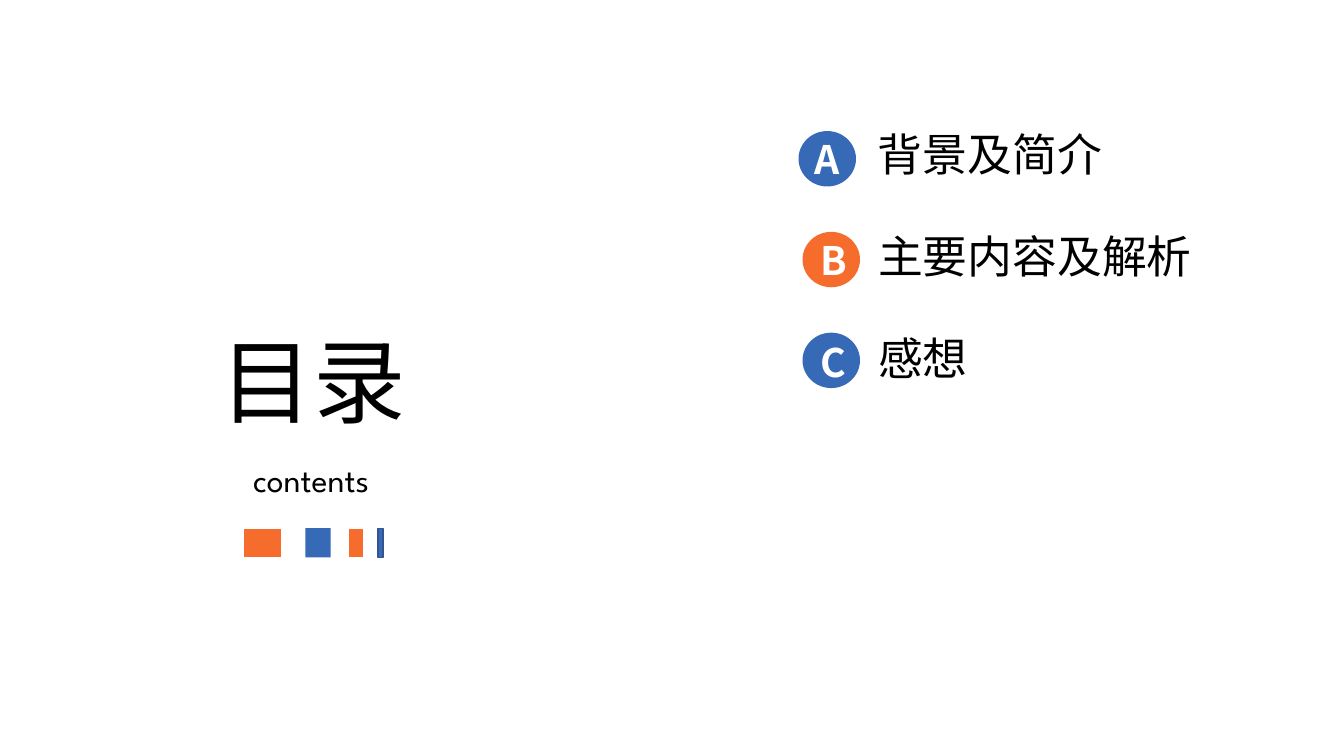
import dataclasses
import typing

import lxml.etree
import pptx
import pptx.dml.color
import pptx.enum.shapes
import pptx.enum.text
import pptx.oxml.ns
import pptx.slide
import pptx.util

Inches = pptx.util.Inches
Kind = pptx.enum.shapes.MSO_SHAPE
Align = pptx.enum.text.PP_ALIGN

BLUE = "366AB7"
ORANGE = "F66C2D"
WHITE = "FFFFFF"
BLACK = "000000"
NAVY = "325491"
SANS = "Noto Sans CJK SC"


@dataclasses.dataclass
class Box:
    left: float
    top: float
    width: float
    height: float


@dataclasses.dataclass
class Bar:
    left: float
    width: float
    fill: str
    edge: typing.Optional[str]


@dataclasses.dataclass
class Entry:
    letter: str
    title: str
    fill: str
    disc: float
    mark: float
    room: float
    width: float


@dataclasses.dataclass
class Style:
    size: int
    face: str
    color: str = BLACK
    bold: bool = False
    align: Align = Align.LEFT


HEADING = Style(66, "Noto Sans CJK JP", align=Align.CENTER)
CAPTION = Style(24, "League Spartan", align=Align.CENTER)
LETTER = Style(28, SANS, WHITE, True)
TITLE = Style(32, SANS)

BARS = [
    Bar(2.41, 0.38, ORANGE, WHITE),
    Bar(3.03, 0.25, BLUE, None),
    Bar(3.45, 0.16, ORANGE, WHITE),
    Bar(3.75, 0.05, BLUE, NAVY),
]
ENTRIES = [
    Entry("A", "背景及简介", BLUE, 7.92, 7.98, 0.34, 2.47),
    Entry("B", "主要内容及解析", ORANGE, 7.96, 8.04, 0.57, 3.45),
    Entry("C", "感想", BLUE, 7.96, 8.04, 0.4, 3.45),
]


def color(code: str) -> pptx.dml.color.RGBColor:
    return pptx.dml.color.RGBColor.from_string(code)


def place(box: Box) -> list[pptx.util.Length]:
    return [Inches(side) for side in dataclasses.astuple(box)]


def apply(target: typing.Any, values: dict[str, typing.Any]) -> None:
    for name, value in values.items():
        setattr(target, name, value)


def draw_shape(slide: pptx.slide.Slide, kind: Kind, box: Box, fill: str,
               edge: typing.Optional[str] = None) -> None:
    shape = slide.shapes.add_shape(kind, *place(box))
    shape.shadow.inherit = False
    shape.fill.solid()
    shape.fill.fore_color.rgb = color(fill)
    if edge is None:
        shape.line.fill.background()
    else:
        shape.line.color.rgb = color(edge)
        shape.line.width = pptx.util.Pt(1)


def draw_text(slide: pptx.slide.Slide, text: str, box: Box, style: Style) -> None:
    frame = slide.shapes.add_textbox(*place(box)).text_frame
    apply(frame, {
        "word_wrap": True,
        "auto_size": pptx.enum.text.MSO_AUTO_SIZE.SHAPE_TO_FIT_TEXT,
    })
    line = frame.paragraphs[0]
    line.alignment = style.align
    run = line.add_run()
    run.text = text
    apply(run.font, {
        "size": pptx.util.Pt(style.size),
        "bold": style.bold,
        "name": style.face,
    })
    run.font.color.rgb = color(style.color)
    east = lxml.etree.Element(pptx.oxml.ns.qn("a:ea"), typeface=style.face)
    run.font._element.find(pptx.oxml.ns.qn("a:latin")).addnext(east)


def main() -> None:
    deck = pptx.Presentation()
    apply(deck, {"slide_width": Inches(13.33), "slide_height": Inches(7.5)})
    slide = deck.slides.add_slide(deck.slide_layouts[6])

    draw_text(slide, "目录", Box(1.93, 3.17, 2.35, 1.21), HEADING)
    draw_text(slide, "contents", Box(2.09, 4.5, 1.99, 0.5), CAPTION)
    for bar in BARS:
        draw_shape(slide, Kind.RECTANGLE, Box(bar.left, 5.24, bar.width, 0.29),
                   bar.fill, bar.edge)

    for row, entry in enumerate(ENTRIES):
        draw_shape(slide, Kind.FLOWCHART_CONNECTOR,
                   Box(entry.disc, 1.3 + row, 0.57, 0.55), entry.fill)
        draw_text(slide, entry.letter,
                  Box(entry.mark, 1.29 + 1.01 * row, entry.room, 0.57), LETTER)
        draw_text(slide, entry.title,
                  Box(8.61, 1.21 + 1.01 * row, entry.width, 0.64), TITLE)

    deck.save("out.pptx")


if __name__ == "__main__":
    main()
